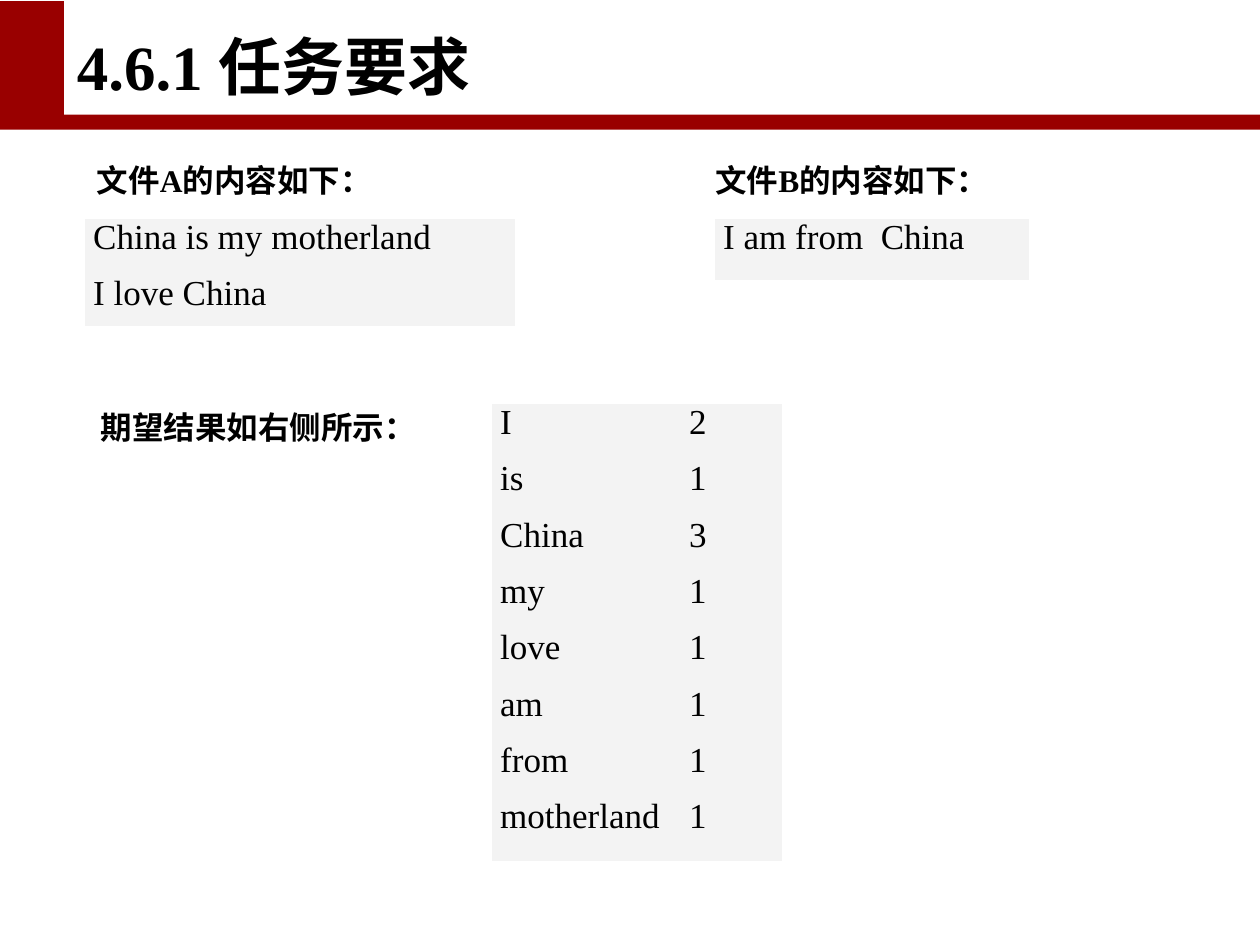
from lxml import etree
from pptx import Presentation
from pptx import util as u
from pptx.dml.color import RGBColor
from pptx.enum import shapes, text
from pptx.oxml import ns

COLUMNS, ROWS = 100, 75
CELL = u.Inches(0.1)
FONT = "Times New Roman"
RED = RGBColor(0x99, 0x00, 0x00)
WHITE = RGBColor(0xFF, 0xFF, 0xFF)
BLACK = RGBColor(0x00, 0x00, 0x00)
GREY = RGBColor(0xF3, 0xF3, 0xF3)
COUNT_COLUMN = 15

WORD_COUNTS = [
    ("I", 2), ("is", 1), ("China", 3), ("my", 1),
    ("love", 1), ("am", 1), ("from", 1), ("motherland", 1),
]


def grid(*cells):
    return [round(cell * CELL) for cell in cells]


def write(para, content, size=20, bold=False, align=None, gap=None):
    span = para.add_run()
    span.text = content
    span.font.name = FONT
    span.font.size = u.Pt(size)
    span.font.bold = bold
    span.font.color.rgb = BLACK
    para.alignment = align
    if gap is not None:
        para.space_before = para.space_after = u.Pt(gap)


def add_tab_stop(para, column):
    properties = para._p.get_or_add_pPr()
    stops = etree.SubElement(properties, ns.qn("a:tabLst"))
    etree.SubElement(stops, ns.qn("a:tab"), pos=str(grid(column)[0]), algn="l")


def add_block(page, color, *cells):
    block = page.shapes.add_shape(shapes.MSO_SHAPE.RECTANGLE, *grid(*cells))
    block.shadow.inherit = False
    block.fill.solid()
    block.fill.fore_color.rgb = color
    block.line.fill.background()


def add_title(page, content):
    title = page.shapes.title
    title.left, title.top, title.width, title.height = grid(5.1, 0.2, 87.5, 10)
    frame = title.text_frame
    frame.vertical_anchor = text.MSO_ANCHOR.MIDDLE
    write(frame.paragraphs[0], content, size=36, bold=True, align=text.PP_ALIGN.LEFT)
    title.element.getparent().append(title.element)


def add_label(page, content, left, top, width):
    box = page.shapes.add_textbox(*grid(left, top, width, 4))
    frame = box.text_frame
    frame.word_wrap = False
    frame.auto_size = text.MSO_AUTO_SIZE.SHAPE_TO_FIT_TEXT
    write(frame.paragraphs[0], content, size=18, bold=True)


def add_panel(page, lines, *cells, tab=None):
    panel = page.shapes.add_table(1, 1, *grid(*cells)).table
    panel.first_row = panel.horz_banding = False
    cell = panel.cell(0, 0)
    cell.fill.solid()
    cell.fill.fore_color.rgb = GREY
    cell.margin_left = cell.margin_right = u.Inches(0.07)
    cell.margin_top = cell.margin_bottom = 0
    frame = cell.text_frame
    for number, line in enumerate(lines):
        para = frame.add_paragraph() if number else frame.paragraphs[0]
        write(para, line, align=text.PP_ALIGN.JUSTIFY, gap=5)
        if tab is not None:
            add_tab_stop(para, tab)


def main():
    deck = Presentation()
    deck.slide_width, deck.slide_height = grid(COLUMNS, ROWS)
    page = deck.slides.add_slide(deck.slide_layouts.get_by_name("Title Only"))

    add_block(page, RED, 0, 0.1, COLUMNS, 10.2)
    add_block(page, WHITE, 5.1, 0, COLUMNS - 5.1, 9.1)
    add_title(page, "4.6.1 任务要求")

    add_label(page, "文件A的内容如下：", 6.7, 12.3, 24.2)
    add_panel(page, ["China is my motherland", "I love China"], 6.7, 17.3, 34.2, 8.6)

    add_label(page, "文件B的内容如下：", 55.8, 12.3, 24)
    add_panel(page, ["I am from  China"], 56.7, 17.3, 25, 5)

    add_label(page, "期望结果如右侧所示：", 7, 31.9, 27.3)
    counts = [f"{word}\t{count}" for word, count in WORD_COUNTS]
    add_panel(page, counts, 39, 32, 23.1, 36.4, tab=COUNT_COLUMN)

    deck.save("out.pptx")


if __name__ == "__main__":
    main()
